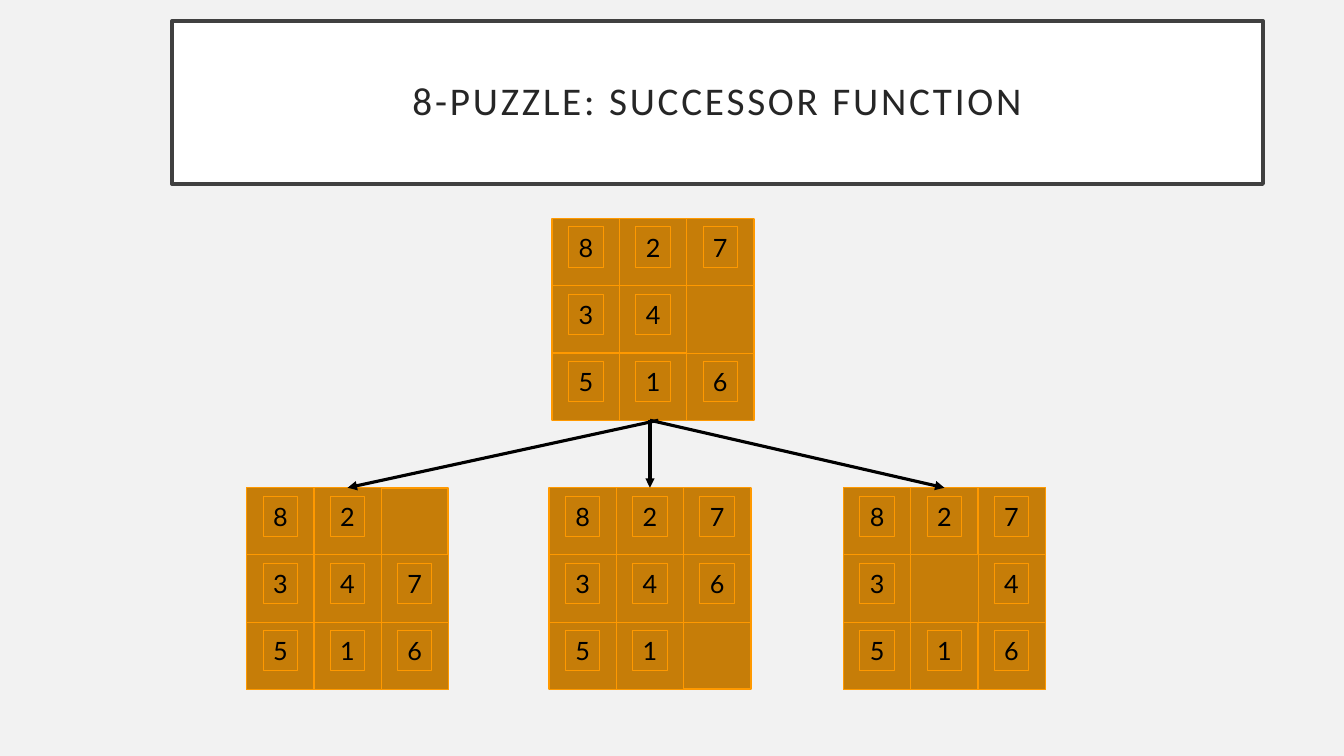
"""Build the slide on the successor function of the 8-puzzle."""
from lxml.etree import SubElement
from pptx import Presentation
from pptx.dml.color import RGBColor
from pptx.enum.shapes import MSO_CONNECTOR as Connector, MSO_SHAPE as Shape
from pptx.enum.text import MSO_ANCHOR as Anchor, MSO_AUTO_SIZE as AutoSize, PP_ALIGN as Align
from pptx.oxml.ns import qn
from pptx.util import Cm, Pt

TITLE = "8-PUZZLE: SUCCESSOR FUNCTION"
BOARDS = [
    (6.22, 12.29, ("82 ", "347", "516")),
    (13.84, 12.29, ("827", "346", "51 ")),
    (13.92, 5.51, ("827", "34 ", "516")),
    (21.26, 12.29, ("827", "3 4", "516")),
]
ARROWS = [(16.59, 8.76), (16.38, 16.38), (16.38, 23.8)]
ARROW_TOP, ARROW_BOTTOM = 10.59, 12.29

BOARD = 5.08
CELL = BOARD / 3
TILE_WIDTH, TILE_HEIGHT = 0.87, 1.02
TILE_X, TILE_Y = (CELL - TILE_WIDTH) / 2, 0.21
ORANGE, BROWN, BLACK = "FF9900", "C67D08", "000000"


def color(value):
    return RGBColor.from_string(value)


def paint(shape, fill, line, width):
    shape.fill.solid()
    shape.fill.fore_color.rgb = color(fill)
    shape.line.color.rgb = color(line)
    shape.line.width = Pt(width)


def write(shape, text, *, size, font, ink, align=Align.LEFT, anchor=Anchor.TOP,
          wrap=False, auto_size=AutoSize.SHAPE_TO_FIT_TEXT, inset=None,
          line_spacing=None, spacing=None):
    frame = shape.text_frame
    frame.word_wrap = wrap
    frame.auto_size = auto_size
    frame.vertical_anchor = anchor
    if inset is not None:
        frame.margin_left = frame.margin_right = Cm(inset)
        frame.margin_top = frame.margin_bottom = Cm(inset)
    paragraph = frame.paragraphs[0]
    paragraph.alignment = align
    paragraph.line_spacing = line_spacing
    run = paragraph.add_run()
    run.text = text
    run.font.size = Pt(size)
    run.font.name = font
    run.font.color.rgb = color(ink)
    if spacing is not None:
        run._r.get_or_add_rPr().set("spc", str(spacing * 100))


def add_box(group, left, top, width, height, line_width=0.75):
    box = group.shapes.add_shape(Shape.RECTANGLE, Cm(left), Cm(top), Cm(width), Cm(height))
    box.shadow.inherit = False
    paint(box, BROWN, ORANGE, line_width)
    return box


def add_board(slide, left, top, rows):
    group = slide.shapes.add_group_shape()
    add_box(group, left, top, BOARD, BOARD, 1.5)
    cells = [(left + column * CELL, top + row * CELL, digit)
             for row, digits in enumerate(rows)
             for column, digit in enumerate(digits) if digit != " "]
    for x, y, digit in cells:
        add_box(group, x, y, CELL, CELL)
    for x, y, digit in cells:
        tile = add_box(group, x + TILE_X, y + TILE_Y, TILE_WIDTH, TILE_HEIGHT)
        write(tile, digit, size=18, font="Lato", ink=BLACK)


def add_arrow(slide, start, end):
    arrow = slide.shapes.add_connector(
        Connector.STRAIGHT, Cm(start), Cm(ARROW_TOP), Cm(end), Cm(ARROW_BOTTOM))
    arrow.line.color.rgb = color(BLACK)
    arrow.line.width = Pt(2.25)
    properties = arrow._element.spPr
    SubElement(properties.find(qn("a:ln")), qn("a:tailEnd"), type="triangle")
    SubElement(properties, qn("a:effectLst"))


def main():
    presentation = Presentation()
    presentation.slide_width, presentation.slide_height = Cm(33.87), Cm(19.05)
    slide = presentation.slides.add_slide(presentation.slide_layouts[5])
    slide.background.fill.solid()
    slide.background.fill.fore_color.rgb = color("F2F2F2")

    title = slide.shapes.title
    title.left, title.top, title.width, title.height = Cm(4.33), Cm(0.53), Cm(27.5), Cm(4.11)
    paint(title, "FFFFFF", "404040", 2.5)
    write(title, TITLE, size=28, font="Calibri", ink="262626", align=Align.CENTER,
          anchor=Anchor.MIDDLE, wrap=True, auto_size=AutoSize.NONE, inset=0.51,
          line_spacing=0.9, spacing=2)

    for left, top, rows in BOARDS:
        add_board(slide, left, top, rows)
    for start, end in ARROWS:
        add_arrow(slide, start, end)

    presentation.save("out.pptx")


if __name__ == "__main__":
    main()
